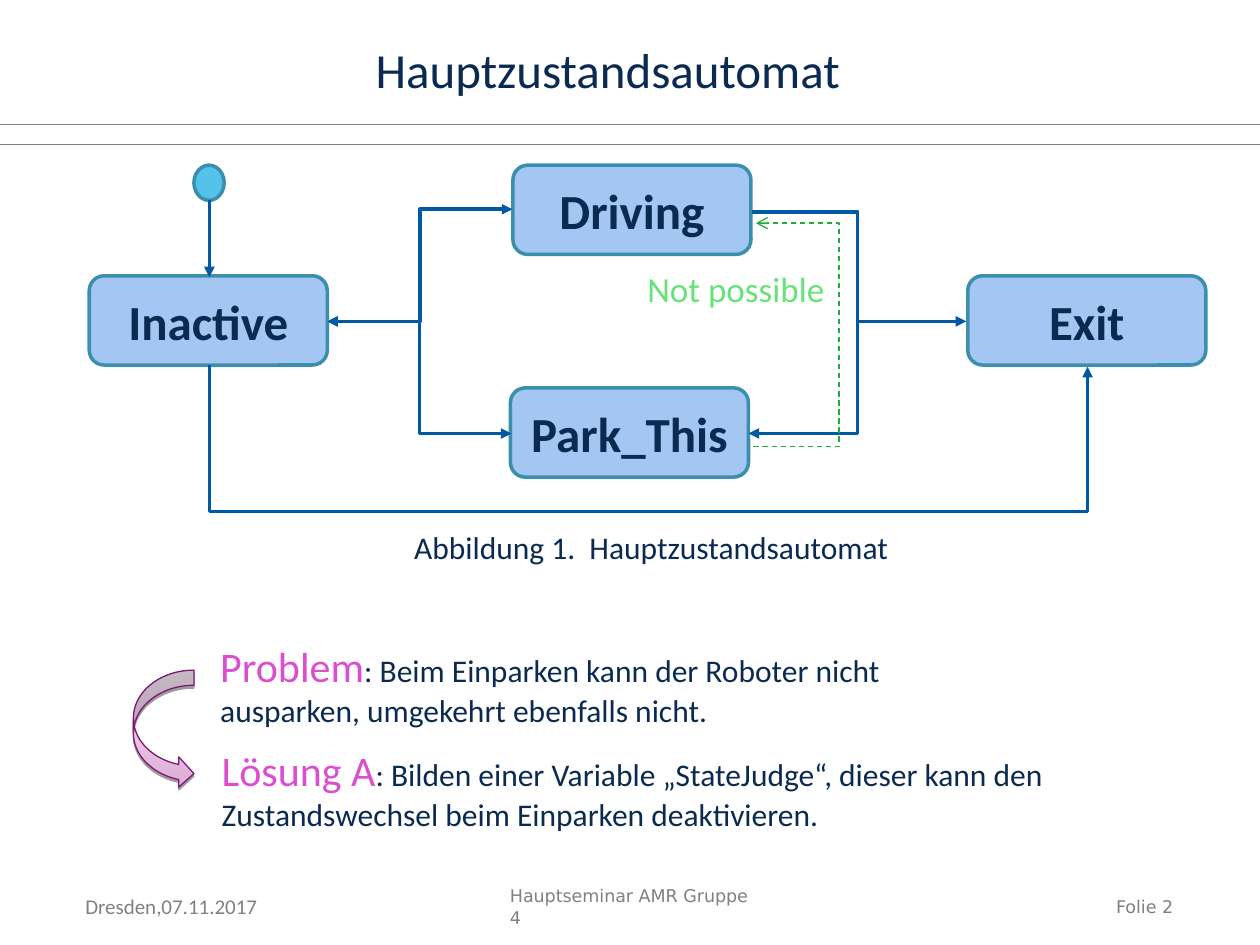
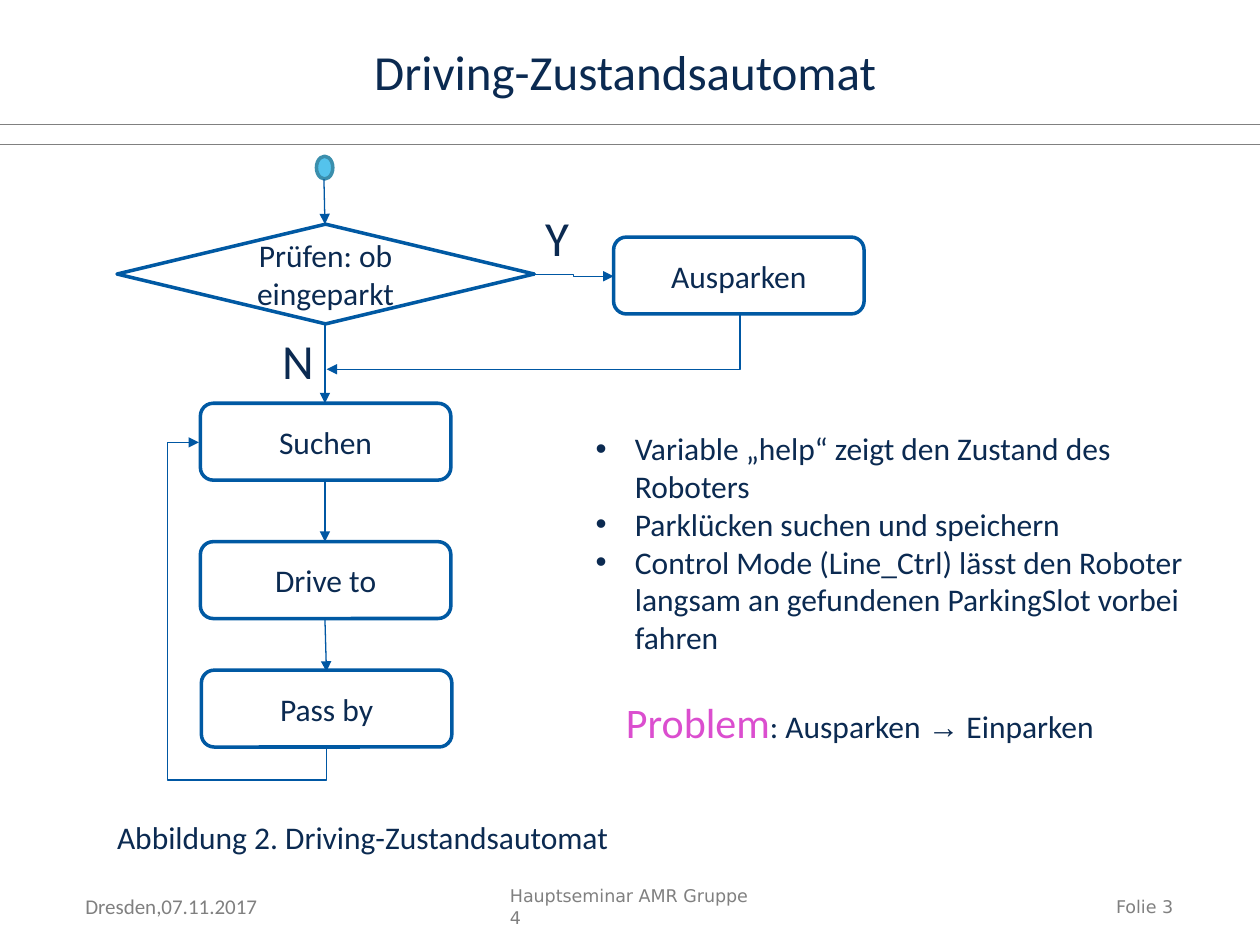
from dataclasses import dataclass
from typing import NamedTuple

from lxml.etree import SubElement
from pptx import Presentation
from pptx.dml.color import RGBColor
from pptx.enum.dml import MSO_LINE
from pptx.enum.shapes import MSO_CONNECTOR, MSO_SHAPE
from pptx.enum.text import MSO_ANCHOR, PP_ALIGN
from pptx.oxml.ns import qn
from pptx.util import Cm, Pt

COLORS = {
    "navy": "0B2A51",
    "blue": "0059A3",
    "thin_blue": "0057A3",
    "state": "A3C6F2",
    "border": "3B8FAD",
    "start": "54C3EC",
    "white": "FFFFFF",
    "grey": "808080",
    "pink": "DB4ECF",
    "light_green": "67E179",
    "green": "22AD36",
    "arrow_dark": "DDACD6",
    "arrow_light": "F6E9F4",
    "arrow_line": "801777",
    "black": "000000",
}


class Area(NamedTuple):
    left: float
    top: float
    width: float
    height: float

    def lengths(self) -> list:
        return [Cm(value) for value in self]


class Span(NamedTuple):
    text: str
    size: float = 18
    color: str = "navy"
    font: str = "Calibri"
    bold: bool = False


@dataclass
class Label:
    area: Area
    paragraphs: list
    align: PP_ALIGN = PP_ALIGN.LEFT
    anchor: MSO_ANCHOR = MSO_ANCHOR.TOP
    wrap: bool = True
    bullets: bool = False


@dataclass
class Node:
    area: Area
    span: Span | None = None
    kind: MSO_SHAPE = MSO_SHAPE.ROUNDED_RECTANGLE
    fill: str = "white"
    line: str = "blue"


@dataclass
class Link:
    area: Area
    preset: str = "line"
    rotation: int = 0
    flip: str = ""
    adjusts: tuple = ()
    color: str = "blue"
    weight: float = 2
    head: str = ""
    tail: str = "triangle"
    dashed: bool = False


def rgb(name: str) -> RGBColor:
    return RGBColor.from_string(COLORS[name])


def set_font(font, span: Span) -> None:
    font.size = Pt(span.size)
    font.name = span.font
    font.bold = span.bold
    font.color.rgb = rgb(span.color)


def write_spans(para, spans: list) -> None:
    for span in spans:
        run = para.add_run()
        run.text = span.text
        if len(spans) > 1:
            set_font(run.font, span)
    if len(spans) == 1:
        set_font(para.font, spans[0])


def add_bullet(para) -> None:
    properties = para._p.get_or_add_pPr()
    properties.set("marL", str(Cm(0.79)))
    properties.set("indent", str(-Cm(0.79)))
    font = properties.makeelement(qn("a:buFont"), {"typeface": "Arial"})
    mark = properties.makeelement(qn("a:buChar"), {"char": "•"})
    properties.insert(0, font)
    properties.insert(1, mark)


def add_label(page, label: Label) -> None:
    box = page.shapes.add_textbox(*label.area.lengths())
    frame = box.text_frame
    frame.word_wrap = label.wrap
    frame.vertical_anchor = label.anchor
    for index, spans in enumerate(label.paragraphs):
        para = frame.add_paragraph() if index else frame.paragraphs[0]
        para.alignment = label.align
        write_spans(para, spans)
        if label.bullets:
            add_bullet(para)


def add_node(page, node: Node) -> None:
    shape = page.shapes.add_shape(node.kind, *node.area.lengths())
    shape.shadow.inherit = False
    shape.fill.solid()
    shape.fill.fore_color.rgb = rgb(node.fill)
    shape.line.color.rgb = rgb(node.line)
    shape.line.width = Pt(2)
    if node.span:
        para = shape.text_frame.paragraphs[0]
        para.alignment = PP_ALIGN.CENTER
        write_spans(para, [node.span])


def add_link(page, link: Link) -> None:
    left, top, width, height = link.area.lengths()
    start_x, end_x = left, left + width
    start_y, end_y = top, top + height
    if "h" in link.flip:
        start_x, end_x = end_x, start_x
    if "v" in link.flip:
        start_y, end_y = end_y, start_y
    kind = MSO_CONNECTOR.STRAIGHT if link.preset == "line" else MSO_CONNECTOR.ELBOW
    connector = page.shapes.add_connector(kind, start_x, start_y, end_x, end_y)
    connector.line.color.rgb = rgb(link.color)
    connector.line.width = Pt(link.weight)
    if link.dashed:
        connector.line.dash_style = MSO_LINE.DASH
    properties = connector._element.spPr
    if link.rotation:
        properties.find(qn("a:xfrm")).set("rot", str(link.rotation * 60000))
    geometry = properties.find(qn("a:prstGeom"))
    geometry.set("prst", link.preset)
    for number, value in enumerate(link.adjusts, 1):
        SubElement(geometry.find(qn("a:avLst")), qn("a:gd"),
                   name=f"adj{number}", fmla=f"val {round(value * 100000)}")
    outline = properties.find(qn("a:ln"))
    for tag, end in (("a:headEnd", link.head), ("a:tailEnd", link.tail)):
        if end:
            SubElement(outline, qn(tag), type=end)
    SubElement(properties, qn("a:effectLst"))


def add_curved_arrow(page, area: Area) -> None:
    arrow = page.shapes.add_shape(MSO_SHAPE.CURVED_RIGHT_ARROW, *area.lengths())
    arrow.fill.gradient()
    arrow.fill.gradient_angle = 90
    for stop, name in zip(arrow.fill.gradient_stops, ("arrow_dark", "arrow_light")):
        stop.color.rgb = rgb(name)
    arrow.line.color.rgb = rgb("arrow_line")
    arrow.line.width = Pt(0.75)
    effects = SubElement(arrow._element.spPr, qn("a:effectLst"))
    shadow = SubElement(effects, qn("a:outerShdw"), blurRad="0",
                        dist=str(Pt(1.6)), dir="5400000", rotWithShape="0")
    color = SubElement(shadow, qn("a:srgbClr"), val=COLORS["black"])
    SubElement(color, qn("a:alpha"), val="38000")


def add_page(deck, title: str, area: Area, number: int):
    page = deck.slides.add_slide(deck.slide_layouts[5])
    for y in (2.51, 2.92):
        add_link(page, Link(Area(0, y, 25.4, 0), color="grey", weight=0.5, tail=""))
    footers = [
        Label(Area(19.1, 17.93, 4.8, 0.74),
              [[Span(f"Folie {number}", 10, "grey", "DejaVu Sans")]], align=PP_ALIGN.RIGHT),
        Label(Area(10.03, 17.93, 5.36, 0.69),
              [[Span("Hauptseminar AMR Gruppe 4", 10, "grey", "DejaVu Sans")]],
              anchor=MSO_ANCHOR.MIDDLE),
        Label(Area(1.47, 17.88, 3.99, 0.76),
              [[Span("Dresden,07.11.2017", 12, "grey")]], wrap=False),
    ]
    for footer in footers:
        add_label(page, footer)
    heading = page.shapes.title
    heading.left, heading.top, heading.width, heading.height = area.lengths()
    heading.text_frame.vertical_anchor = MSO_ANCHOR.TOP
    para = heading.text_frame.paragraphs[0]
    para.alignment = PP_ALIGN.LEFT
    write_spans(para, [Span(title, 28)])
    return page


def draw(page, nodes: list, links: list, labels: list) -> None:
    for node in nodes:
        add_node(page, node)
    for link in links:
        add_link(page, link)
    for label in labels:
        add_label(page, label)


def start_node(area: Area) -> Node:
    return Node(area, kind=MSO_SHAPE.FLOWCHART_CONNECTOR, fill="start", line="border")


def build_main_states(deck) -> None:
    page = add_page(deck, "Hauptzustandsautomat", Area(7.32, 0.66, 12.4, 1.45), 2)
    states = [("Inactive", 1.8, 5.56), ("Driving", 10.34, 3.33),
              ("Park_This", 10.29, 7.82), ("Exit", 19.51, 5.56)]
    nodes = [Node(Area(x, y, 4.8, 1.8), Span(name, 28, bold=True), fill="state", line="border")
             for name, x, y in states]
    nodes.append(start_node(Area(3.91, 3.33, 0.61, 0.71)))
    both = {"preset": "bentConnector3", "adjusts": (0.5,), "head": "triangle"}
    links = [
        Link(Area(6.6, 4.22, 3.73, 2.26), flip="v", **both),
        Link(Area(6.6, 6.48, 3.71, 2.26), rotation=180, **both),
        Link(Area(15.09, 6.48, 4.39, 2.26), flip="v", **both),
        Link(Area(13.06, -1.47, 0.03, 17.7), "bentConnector3", 270, "h", (98.2,)),
        Link(Area(4.22, 4.04, 0, 1.55)),
        Link(Area(15.16, 4.27, 2.13, 2.26), "bentConnector2", tail=""),
        Link(Area(15.19, 4.5, 0.05, 4.5), "bentConnector3", flip="v", adjusts=(34.5,),
             color="green", weight=0.75, tail="arrow", dashed=True),
    ]
    labels = [
        Label(Area(8.1, 10.52, 10.8, 1.02), [[Span("Abbildung 1.  Hauptzustandsautomat")]]),
        Label(Area(12.8, 5.26, 5.61, 1.12), [[Span("Not possible", 20, "light_green")]]),
        Label(Area(4.19, 12.78, 16.74, 2.03), [[
            Span("Problem", 24, "pink"),
            Span(": Beim Einparken kann der Roboter nicht ausparken, "
                 "umgekehrt ebenfalls nicht.")]]),
        Label(Area(4.22, 14.88, 17.86, 2.03), [[
            Span("Lösung A", 24, "pink"),
            Span(": Bilden einer Variable „StateJudge“, dieser kann den "
                 "Zustandswechsel beim Einparken deaktivieren.")]]),
    ]
    draw(page, nodes, links, labels)
    add_curved_arrow(page, Area(2.69, 13.51, 1.22, 2.39))


def build_driving_states(deck) -> None:
    page = add_page(deck, "Driving-Zustandsautomat", Area(7.29, 0.71, 12.01, 1.45), 3)
    steps = [("Suchen", 4.04, 8.13), ("Ausparken", 12.37, 4.78),
             ("Drive to", 4.04, 10.92), ("Pass by", 4.06, 13.51)]
    nodes = [Node(Area(x, y, 5.05, 1.55), Span(name)) for name, x, y in steps]
    nodes += [
        start_node(Area(6.38, 3.15, 0.33, 0.46)),
        Node(Area(2.36, 4.52, 8.41, 2.01), Span("Prüfen: ob eingeparkt"),
             MSO_SHAPE.FLOWCHART_DECISION),
    ]
    thin = {"color": "thin_blue", "weight": 0.75}
    drops = [Area(6.53, 3.61, 0.02, 0.91), Area(6.55, 6.53, 0, 1.6),
             Area(6.55, 9.68, 0, 1.24), Area(6.55, 12.47, 0.03, 1.07)]
    links = [Link(area, **thin) for area in drops]
    links += [
        Link(Area(2.21, 10.72, 6.17, 2.57), "bentConnector4", 270, "v", (-0.103, 1.248), **thin),
        Link(Area(10.19, 2.72, 1.12, 8.33), "bentConnector2", 90, **thin),
        Link(Area(10.74, 5.54, 1.63, 0.03), "bentConnector3", adjusts=(0.5,), **thin),
    ]
    notes = ["Variable „help“ zeigt den Zustand des Roboters",
             "Parklücken suchen und speichern",
             "Control Mode (Line_Ctrl) lässt den Roboter langsam an gefundenen "
             "ParkingSlot vorbei fahren"]
    labels = [
        Label(Area(10.74, 4.06, 0.99, 1.45), [[Span("Y", 28)]]),
        Label(Area(5.44, 6.53, 0.81, 1.45), [[Span("N", 28)]]),
        Label(Area(2.11, 16.36, 11.2, 1.02), [[Span("Abbildung 2. Driving-Zustandsautomat")]]),
        Label(Area(11.76, 8.53, 12.75, 6.35), [[Span(note)] for note in notes], bullets=True),
        Label(Area(12.37, 13.92, 10.92, 1.27), [[
            Span("Problem", 24, "pink"), Span(": Ausparken "),
            Span("→", font="Arial"), Span(" Einparken")]]),
    ]
    draw(page, nodes, links, labels)


def main() -> None:
    deck = Presentation()
    deck.slide_width, deck.slide_height = Cm(25.4), Cm(19.05)
    build_main_states(deck)
    build_driving_states(deck)
    deck.save("out.pptx")


if __name__ == "__main__":
    main()
